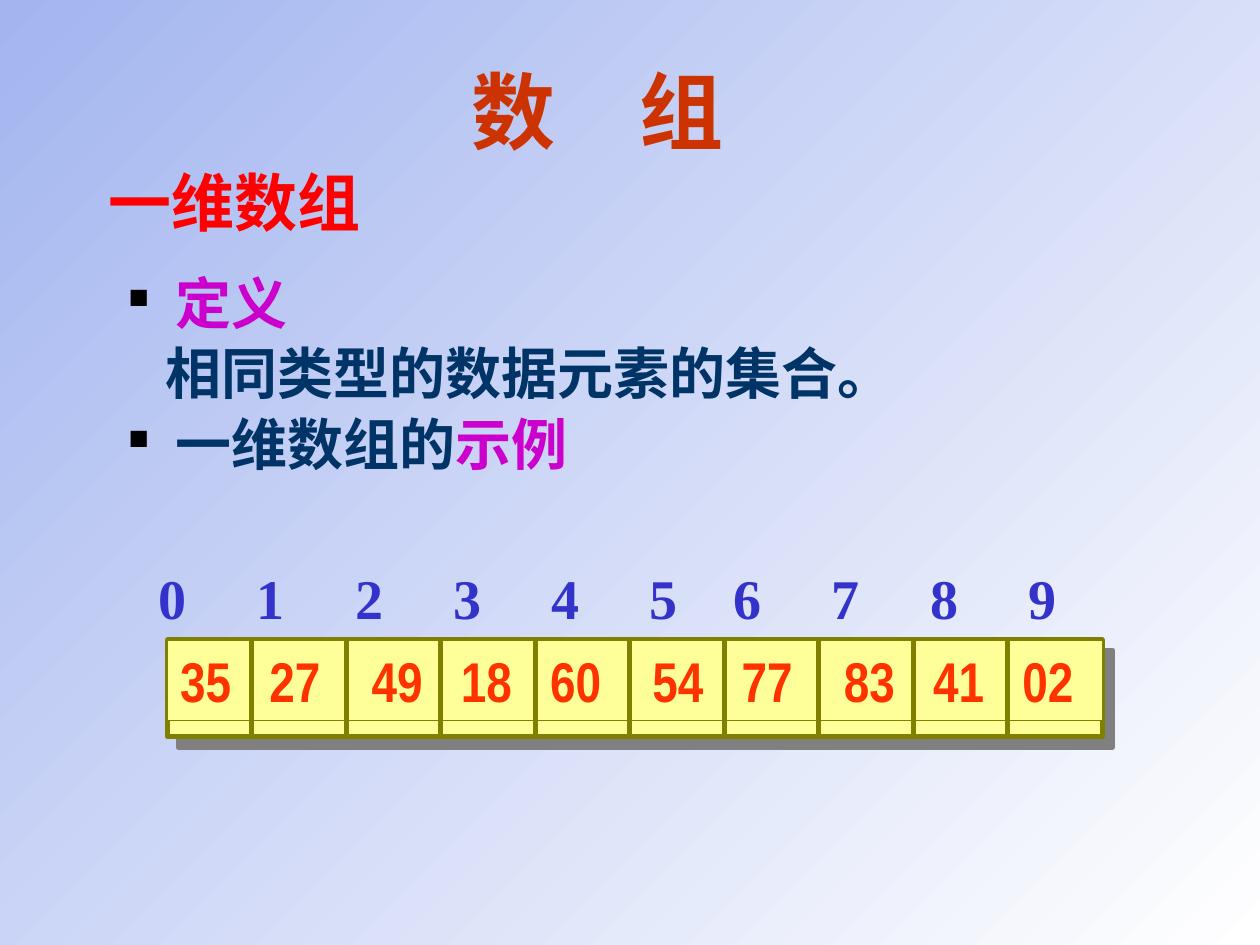
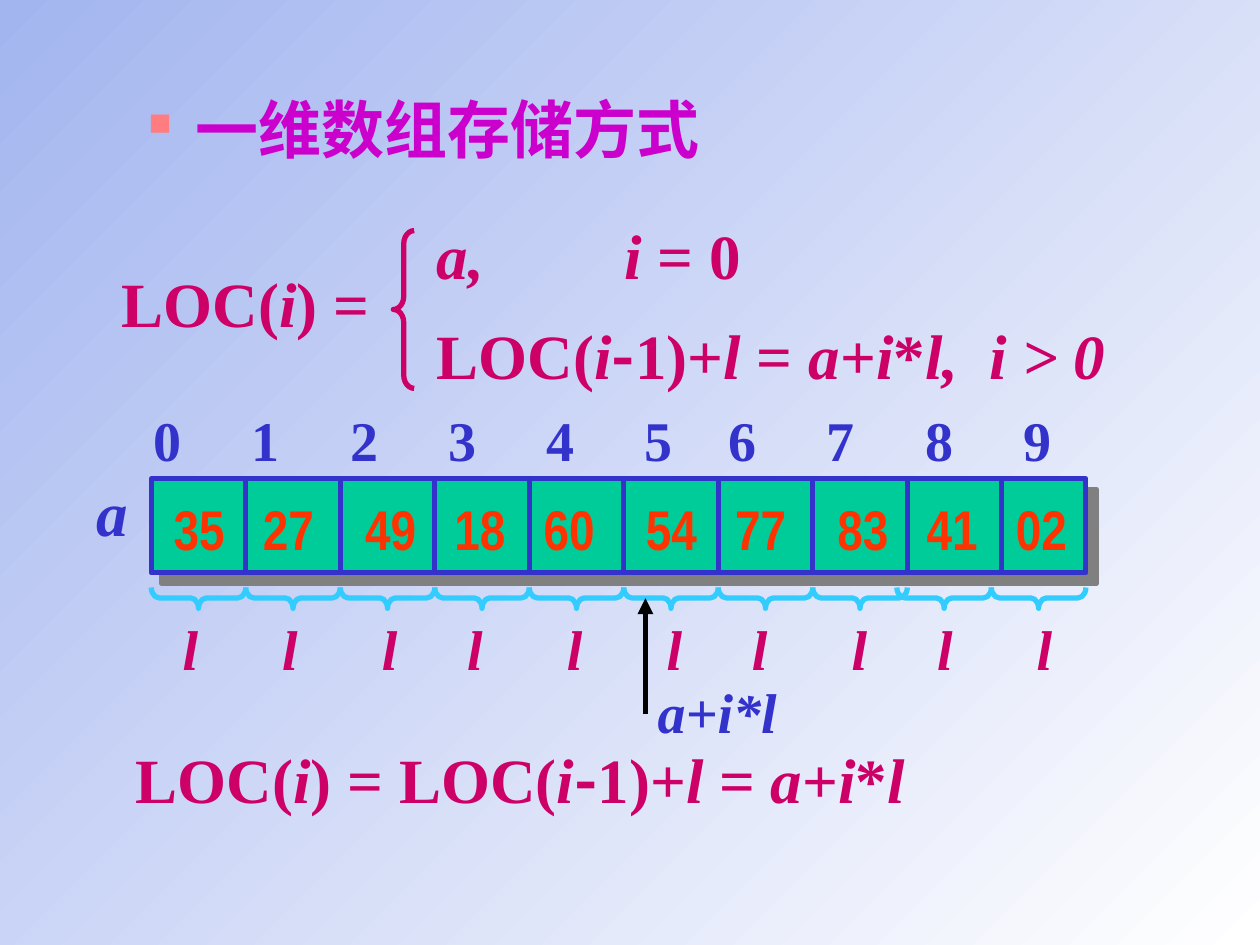
from itertools import accumulate, groupby

from lxml.etree import SubElement
from pptx import Presentation
from pptx.dml.color import RGBColor
from pptx.enum.shapes import MSO_CONNECTOR, MSO_SHAPE
from pptx.enum.text import MSO_ANCHOR, PP_ALIGN
from pptx.oxml.ns import qn
from pptx.util import Cm, Pt

COLORS = {
    "white": "FFFFFF", "sky": "A3B5EF", "black": "000000", "shadow": "808080",
    "title": "CC3300", "red": "FF0000", "violet": "CC00CC", "navy": "003366",
    "index": "3333CC", "value": "FF3300", "formula": "CC0066", "coral": "FF7C80",
    "cream": "FFFF99", "olive": "808000", "green": "00CC99", "cyan": "33CCFF",
}
SERIF, NARROW, HAN = "Times New Roman", "Arial Narrow", "Noto Sans CJK SC"
VALUES = "35 27 49 18 60 54 77 83 41 02"
INDEXES = "0 1 2 3 4 5 6 7 8 9"
VALUE_STOPS = list(accumulate([1.8, 2.06, 1.8, 1.8, 2.06, 1.8, 2.06, 1.8, 1.8]))
INDEX_STOPS = list(accumulate([1.98] * 5 + [1.69] + [1.98] * 3))
LENGTH_STOPS = list(accumulate([2.01, 2.01, 1.72, 2.01, 2.01, 1.72, 2.01, 1.72, 2.01]))
ROW_WIDTH, CELL = 18.84, 19.05 / 10
BRACE_DEPTH = 0.42


def rgb(name):
    return RGBColor.from_string(COLORS[name])


def add_xml(parent, tag, **attributes):
    return SubElement(parent, qn(tag), {key: str(value) for key, value in attributes.items()})


def add_bullet(para, color):
    properties = para._p.get_or_add_pPr()
    properties.set("marL", str(Cm(0.95)))
    properties.set("indent", str(-Cm(0.95)))
    add_xml(add_xml(properties, "a:buClr"), "a:srgbClr", val=COLORS[color])
    add_xml(properties, "a:buSzPct", val=50000)
    add_xml(properties, "a:buChar", char="■")


def add_span(para, text, font, size, color, italic):
    for is_hyphen, letters in groupby(text, key=lambda letter: letter == "-"):
        span = para.add_run()
        span.text = "".join(letters)
        span.font.name = HAN if is_hyphen else font
        span.font.size = Pt(size)
        span.font.bold = True
        span.font.italic = italic
        span.font.color.rgb = rgb(color)


def write_text(page, box, text, font=SERIF, size=36, color="formula", italic=False,
               accent=None, align=PP_ALIGN.LEFT, anchor=MSO_ANCHOR.TOP, before=0,
               spacing=None, stops=(), bullet="black", indent=0):
    frame = page.shapes.add_textbox(*map(Cm, box)).text_frame
    frame.word_wrap = True
    frame.vertical_anchor = anchor
    base = {"font": font, "size": size, "color": color, "italic": italic}
    for number, line in enumerate(text.split("\n")):
        para = frame.add_paragraph() if number else frame.paragraphs[0]
        para.alignment = align
        para.space_before = Pt(before)
        if spacing:
            para.line_spacing = spacing
        if line.startswith("■"):
            add_bullet(para, bullet)
        elif indent:
            para._p.get_or_add_pPr().set("marL", str(Cm(indent)))
        if stops:
            tabs = add_xml(para._p.get_or_add_pPr(), "a:tabLst")
            for stop in stops:
                add_xml(tabs, "a:tab", pos=Cm(stop), algn="l")
        for order, piece in enumerate(line.lstrip("■").split("|")):
            add_span(para, piece, **{**base, **((accent or {}) if order % 2 else {})})


def write_row(page, box, text, stops, **style):
    write_text(page, box, "\t".join(text.split()), size=32, stops=stops, **style)


def write_formula(page, box, text, stops=()):
    write_text(page, box, text, accent={"italic": True}, stops=stops)


def add_panel(page, box, fill, line, width=3, shadow=False):
    panel = page.shapes.add_shape(MSO_SHAPE.RECTANGLE, *map(Cm, box))
    panel.shadow.inherit = False
    panel.fill.solid()
    panel.fill.fore_color.rgb = rgb(fill)
    panel.line.color.rgb = rgb(line)
    panel.line.width = Pt(width)
    if shadow:
        effects = panel._element.spPr.find(qn("a:effectLst"))
        outer = add_xml(effects, "a:outerShdw", dist=Pt(8.5), dir=45 * 60000,
                        algn="ctr", rotWithShape=0)
        add_xml(outer, "a:srgbClr", val=COLORS["shadow"])


def add_line(page, start, end, color, arrow=False):
    line = page.shapes.add_connector(MSO_CONNECTOR.STRAIGHT, *map(Cm, start + end))
    line.line.color.rgb = rgb(color)
    line.line.width = Pt(3)
    if arrow:
        add_xml(line.line._get_or_add_ln(), "a:tailEnd", type="triangle")
    add_xml(line._element.spPr, "a:effectLst")


def add_brace(page, left, top, height, color, rotation=0):
    brace = page.shapes.add_shape(MSO_SHAPE.LEFT_BRACE, *map(Cm, (left, top, BRACE_DEPTH, height)))
    brace.shadow.inherit = False
    brace.adjustments[0] = height / BRACE_DEPTH / 12
    brace.rotation = rotation
    brace.fill.background()
    brace.line.color.rgb = rgb(color)
    brace.line.width = Pt(3)


def add_dividers(page, left, top, height, color):
    for number in range(9):
        x = left + number * CELL
        add_line(page, (x, top), (x, top + height), color)


def paint_background(deck):
    fill = deck.slide_master.background.fill
    fill.gradient()
    fill.gradient_angle = 135
    for stop, color, position in zip(fill.gradient_stops, ("white", "sky"), (0, 1)):
        stop.color.rgb = rgb(color)
        stop.position = position


def plain_array(page, left, top):
    add_panel(page, (left, top, ROW_WIDTH, 1.95), "cream", "olive", shadow=True)
    add_panel(page, (left, top, ROW_WIDTH, 1.63), "cream", "olive", width=0.75)
    write_row(page, (left, top, ROW_WIDTH, 1.63), VALUES, VALUE_STOPS, font=NARROW, color="value")
    add_dividers(page, left + ROW_WIDTH - 9 * CELL, top, 1.93, "olive")
    write_row(page, (left - 0.43, top - 1.67, ROW_WIDTH, 1.63), INDEXES, INDEX_STOPS, color="index")


def stored_array(page, left, top):
    add_panel(page, (left, top, ROW_WIDTH, 1.9), "green", "index", shadow=True)
    write_row(page, (left + 0.2, top + 0.2, ROW_WIDTH, 1.63), VALUES, VALUE_STOPS,
              font=NARROW, color="value")
    add_dividers(page, left + CELL, top, 1.9, "index")
    write_row(page, (left - 0.2, top - 1.6, ROW_WIDTH, 1.63), INDEXES, INDEX_STOPS, color="index")
    for number in range(10):
        start = number * CELL if number < 8 else ROW_WIDTH - (10 - number) * CELL
        add_brace(page, left + start + (CELL - BRACE_DEPTH) / 2, top + 1.45, CELL, "cyan", 270)
    write_row(page, (left + 0.38, top + 2.62, ROW_WIDTH, 1.63), "l " * 10, LENGTH_STOPS, italic=True)
    add_line(page, (left + 9.96, top + 4.75), (left + 9.96, top + 2.41), "black", arrow=True)
    write_text(page, (left + 9.96, top + 3.89, 3.2, 1.63), "a+i*l", size=32, color="index", italic=True)
    write_text(page, (left - 1.35, top - 0.23, 1.2, 1.78), "a", color="index", italic=True)


def location_formula(page, left, top):
    write_formula(page, (left, top + 0.97, 5.72, 1.78), "LOC(|i|) =")
    add_brace(page, left + 5.72, top + 0.41, 3.18, "formula")
    write_formula(page, (left + 6.35, top, 8.25, 1.78), "|a,\ti |= 0", [3.78])
    write_formula(page, (left + 6.35, top + 2.01, 15, 1.78),
                  "LOC(|i|-1)+|l| = |a|+|i|*|l,\ti > 0|", [11.13])


def definition_slide(deck):
    page = deck.slides.add_slide(deck.slide_layouts[6])
    write_text(page, (7.82, 1.27, 8.46, 1.9), "数　组", size=48, color="title",
               align=PP_ALIGN.CENTER, anchor=MSO_ANCHOR.MIDDLE)
    write_text(page, (1.93, 3.18, 7, 1.78), "一维数组", color="red")
    write_text(page, (2.34, 5.28, 20.96, 4.65),
               "■|定义|\n相同类型的数据元素的集合。\n■一维数组的|示例|",
               size=32, color="navy", accent={"color": "violet"}, before=2, indent=0.75)
    plain_array(page, 3.38, 12.9)


def storage_slide(deck):
    page = deck.slides.add_slide(deck.slide_layouts[6])
    write_text(page, (2.74, 1.7, 19.05, 1.9), "■一维数组存储方式",
               color="violet", before=9, bullet="coral")
    location_formula(page, 2.21, 4.24)
    stored_array(page, 3.05, 9.65)
    write_formula(page, (2.49, 14.81, 21.3, 1.78), "LOC(|i|) = LOC(|i|-1)+|l| = |a|+|i|*|l|")


def main():
    deck = Presentation()
    deck.slide_width, deck.slide_height = Cm(25.4), Cm(19.05)
    paint_background(deck)
    definition_slide(deck)
    storage_slide(deck)
    deck.save("out.pptx")


if __name__ == "__main__":
    main()
